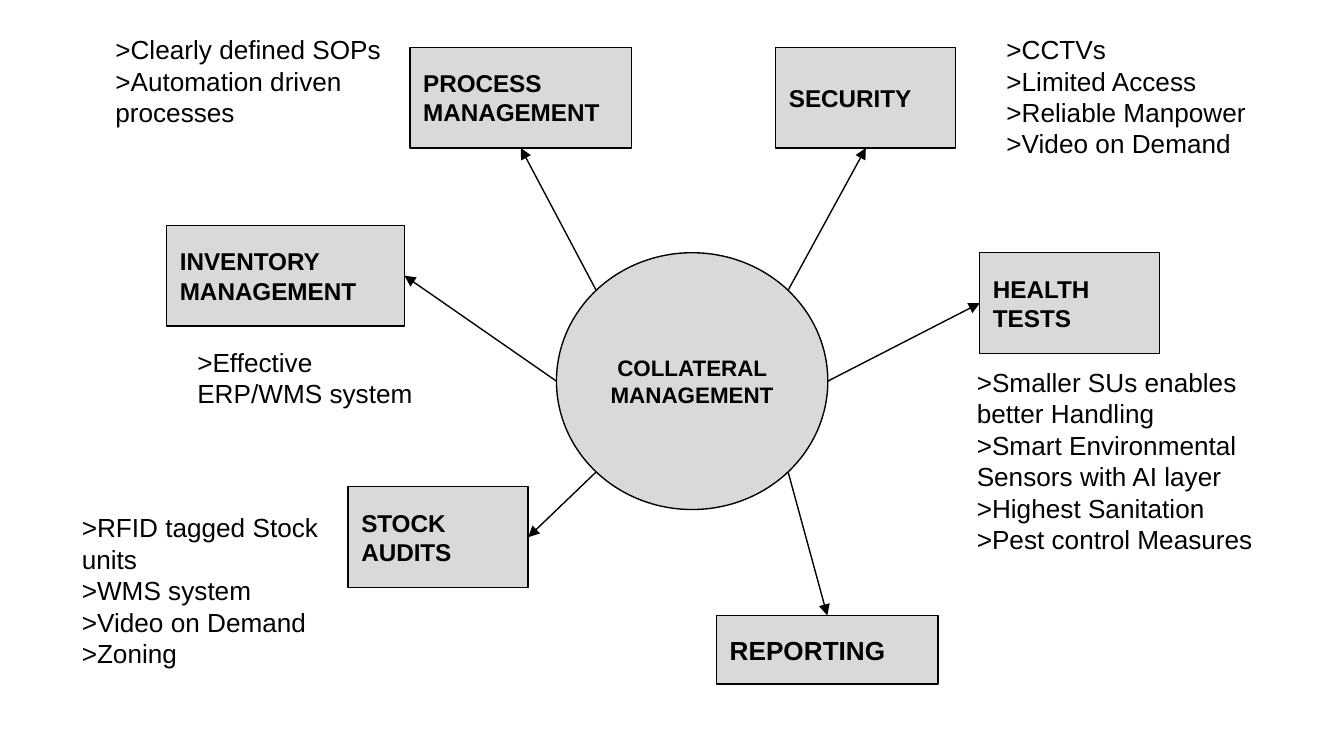
from dataclasses import dataclass
from math import cos, radians, sin

from lxml.etree import SubElement
from pptx import Presentation
from pptx.dml.color import RGBColor
from pptx.enum.shapes import MSO_CONNECTOR, MSO_SHAPE
from pptx.enum.text import MSO_ANCHOR, MSO_AUTO_SIZE, PP_ALIGN
from pptx.oxml.ns import qn
from pptx.util import Pt

COLOURS = {"fill": "D9D9D9", "ink": "000000"}
FONT = "Arial"
LINE_WIDTH = 0.75
INSET = 7.2
TOP, LEFT, RIGHT = 0, 1, 3  # sides are numbered 0 top, 1 left, 2 bottom, 3 right
BOTTOM = 2


@dataclass
class Area:
    left: float
    top: float
    width: float
    height: float

    def lengths(self) -> list:
        return [Pt(value) for value in (self.left, self.top, self.width, self.height)]


@dataclass
class Topic:
    label: str
    area: Area
    angle: int  # where its arrow leaves the hub, clockwise from the right
    side: int  # where its arrow reaches the box
    size: int = 13


@dataclass
class Note:
    lines: list[str]
    area: Area


HUB = Area(298.1, 135.4, 145.4, 137.6)

TOPICS = [
    Topic("PROCESS MANAGEMENT", Area(219.6, 25.3, 118.8, 54), 225, BOTTOM),
    Topic("INVENTORY MANAGEMENT", Area(89.3, 120.7, 127.4, 54), 180, RIGHT),
    Topic("STOCK AUDITS", Area(186.5, 260.8, 96.5, 54), 135, RIGHT),
    Topic("HEALTH TESTS", Area(524.9, 135.4, 96.5, 54), 0, LEFT),
    Topic("SECURITY", Area(415.6, 25.3, 96.5, 54), 315, BOTTOM),
    Topic("REPORTING", Area(383.8, 329.7, 118.8, 36.7), 45, TOP, size=14),
]

NOTES = [
    Note([">CCTVs", ">Limited Access", ">Reliable Manpower", ">Video on Demand"],
         Area(532.1, 10.8, 155.5, 82.1)),
    Note([">Smaller SUs enables better Handling",
          ">Smart Environmental Sensors with AI layer",
          ">Highest Sanitation", ">Pest control Measures"],
         Area(516.2, 189.1, 186.5, 116.6)),
    Note([">Effective ERP/WMS system"], Area(98.6, 178.4, 145.4, 48.2)),
    Note([">Clearly defined SOPs", ">Automation driven processes"],
         Area(54.7, 10.8, 164.9, 82.1)),
    Note([">RFID tagged Stock units", ">WMS system", ">Video on Demand", ">Zoning"],
         Area(36.7, 267, 173.5, 99.4)),
]


def colour(name: str) -> RGBColor:
    return RGBColor.from_string(COLOURS[name])


def set_all(target, formats: dict) -> None:
    for name, value in formats.items():
        setattr(target, name, value)


def write(box, lines: list[str], size: int, bold: bool = False,
          align=PP_ALIGN.LEFT, **frame_formats) -> None:
    frame = box.text_frame
    margins = {f"margin_{side}": Pt(INSET) for side in ("left", "top", "right", "bottom")}
    set_all(frame, {"word_wrap": True, **margins, **frame_formats})
    for index, line in enumerate(lines):
        para = frame.add_paragraph() if index else frame.paragraphs[0]
        para.alignment = align
        span = para.add_run()
        span.text = line
        set_all(span.font, {"name": FONT, "size": Pt(size), "bold": bold})
        span.font.color.rgb = colour("ink")


def add_box(page, kind, area: Area, label: str, size: int, align=PP_ALIGN.LEFT):
    box = page.shapes.add_shape(kind, *area.lengths())
    box.shadow.inherit = False
    box.fill.solid()
    box.fill.fore_color.rgb = colour("fill")
    box.line.color.rgb = colour("ink")
    box.line.width = Pt(LINE_WIDTH)
    write(box, [label], size, True, align, vertical_anchor=MSO_ANCHOR.MIDDLE)
    return box


def add_arrow(page, angle: int, box, side: int) -> None:
    """Draw an arrow from the hub's rim to the middle of a box's side."""
    x = Pt(HUB.left + HUB.width / 2 * (1 + cos(radians(angle))))
    y = Pt(HUB.top + HUB.height / 2 * (1 + sin(radians(angle))))
    arrow = page.shapes.add_connector(MSO_CONNECTOR.STRAIGHT, x, y, x, y)
    arrow.end_connect(box, side)
    arrow.line.color.rgb = colour("ink")
    arrow.line.width = Pt(LINE_WIDTH)
    SubElement(arrow.line._get_or_add_ln(), qn("a:tailEnd"), type="triangle")
    SubElement(arrow._element.spPr, qn("a:effectLst"))


def add_note(page, note: Note) -> None:
    box = page.shapes.add_textbox(*note.area.lengths())
    write(box, note.lines, 14, auto_size=MSO_AUTO_SIZE.SHAPE_TO_FIT_TEXT)


def main() -> None:
    deck = Presentation()
    set_all(deck, {"slide_width": Pt(720), "slide_height": Pt(405)})
    page = deck.slides.add_slide(deck.slide_layouts[6])

    # Hub
    add_box(page, MSO_SHAPE.OVAL, HUB, "COLLATERAL MANAGEMENT", 12, PP_ALIGN.CENTER)

    # Topics around the hub, each with its arrow
    for topic in TOPICS:
        box = add_box(page, MSO_SHAPE.RECTANGLE, topic.area, topic.label, topic.size)
        add_arrow(page, topic.angle, box, topic.side)

    # Notes beside the topics
    for note in NOTES:
        add_note(page, note)

    deck.save("out.pptx")


if __name__ == "__main__":
    main()
